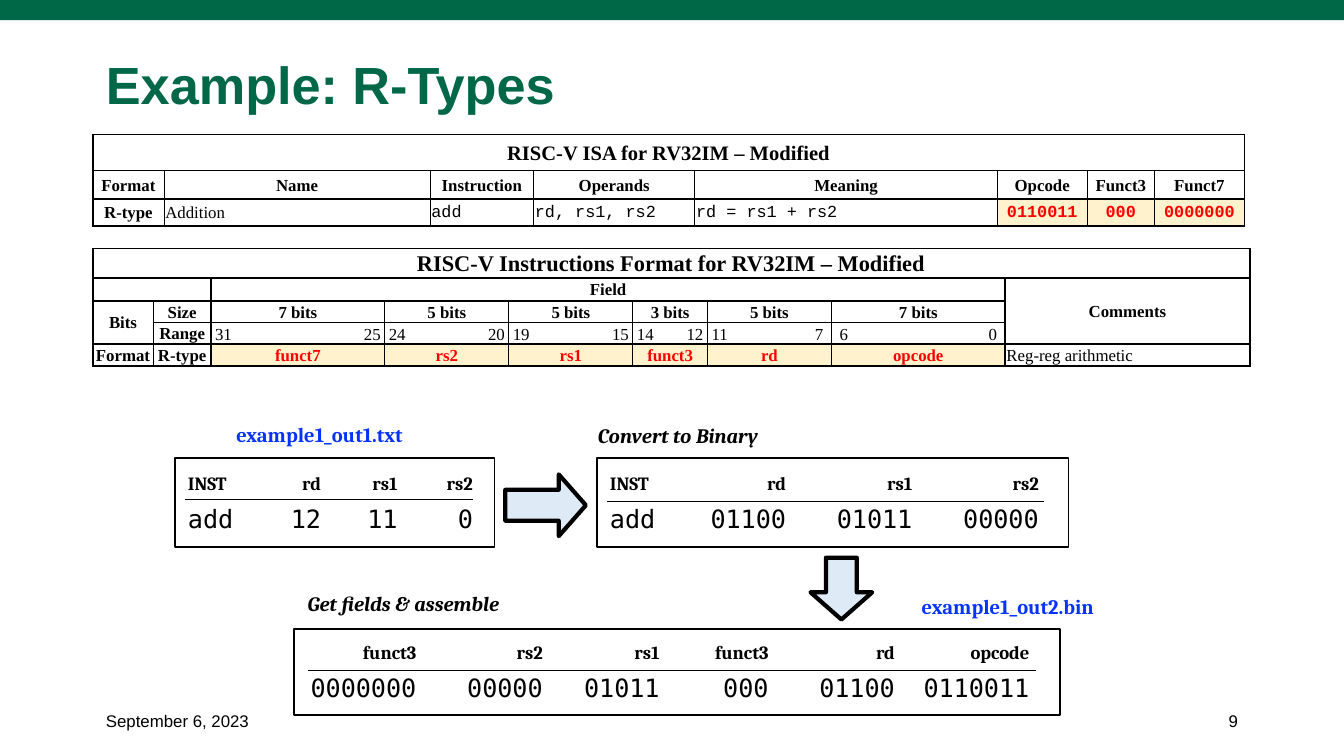
from lxml import etree
from pptx import Presentation
from pptx import util as u
from pptx.dml.color import RGBColor
from pptx.enum import shapes, text
from pptx.oxml import ns

GREEN = RGBColor(0x00, 0x67, 0x47)
BLACK = RGBColor(0x00, 0x00, 0x00)
WHITE = RGBColor(0xFF, 0xFF, 0xFF)
RED = RGBColor(0xFF, 0x00, 0x00)
BLUE = RGBColor(0x04, 0x32, 0xFF)
CREAM = RGBColor(0xFF, 0xF2, 0xCC)
PALE_BLUE = RGBColor(0xDE, 0xEB, 0xF7)
SERIF, MONO = "Times New Roman", "Courier New"
LEFT, CENTER, RIGHT = text.PP_ALIGN.LEFT, text.PP_ALIGN.CENTER, text.PP_ALIGN.RIGHT
TOP, MIDDLE, BOTTOM = text.MSO_ANCHOR.TOP, text.MSO_ANCHOR.MIDDLE, text.MSO_ANCHOR.BOTTOM


def inches(values):
    return [u.Inches(v) for v in values]


class SlideBuilder:
    def __init__(self, slide):
        self.s = slide

    def font(self, p, name, size, color=BLACK, bold=False, italic=False):
        f = p.font
        f.name, f.size, f.bold, f.italic = name, u.Pt(size), bold, italic
        f.color.rgb = color

    def label(self, box, words, name="Cambria", size=11, color=BLACK, bold=True,
              italic=False, align=LEFT, anchor=TOP, spacing=None):
        tf = self.s.shapes.add_textbox(*inches(box)).text_frame
        tf.word_wrap = True
        tf.vertical_anchor = anchor
        p = tf.paragraphs[0]
        p.text, p.alignment, p.line_spacing = words, align, spacing
        self.font(p, name, size, color, bold, italic)

    def shape(self, kind, box, fill, line=None):
        sp = self.s.shapes.add_shape(kind, *inches(box))
        sp.shadow.inherit = False
        sp.fill.solid()
        sp.fill.fore_color.rgb = fill
        if line:
            sp.line.color.rgb = BLACK
            sp.line.width = u.Pt(line)
        else:
            sp.line.fill.background()
        return sp

    def arrow(self, box, rotation=0):
        sp = self.shape(shapes.MSO_SHAPE.RIGHT_ARROW, box, PALE_BLUE, 2.25)
        sp.adjustments[1] = 0.44
        sp.rotation = rotation

    def rule(self, left, right, y):
        ln = self.s.shapes.add_connector(shapes.MSO_CONNECTOR.STRAIGHT,
                                         *inches((left, y, right, y)))
        ln.line.color.rgb = BLACK
        ln.line.width = u.Pt(0.5)
        etree.SubElement(ln._element.spPr, ns.qn("a:effectLst"))

    def listing(self, box, tabs, header, values, rule):
        tf = self.shape(shapes.MSO_SHAPE.RECTANGLE, box, WHITE, 1).text_frame
        tf.word_wrap = True
        tf.vertical_anchor = MIDDLE
        rows = ((header, "Cambria", 10, True, 5), (values, "DejaVu Sans Mono", 13.5, False, 0))
        for i, (words, name, size, bold, after) in enumerate(rows):
            p = tf.add_paragraph() if i else tf.paragraphs[0]
            p.text, p.alignment, p.space_after = words, LEFT, u.Pt(after)
            stops = etree.SubElement(p._p.get_or_add_pPr(), ns.qn("a:tabLst"))
            for tab in tabs:
                etree.SubElement(stops, ns.qn("a:tab"), pos=str(u.Inches(tab)), algn="r")
            self.font(p, name, size, BLACK, bold)
        self.rule(*rule)

    def table(self, left, top, widths, heights, col_edges, row_edges):
        frame = self.s.shapes.add_table(len(heights), len(widths), *inches(
            (left, top, sum(widths), sum(heights))))
        self.t = frame.table
        self.t.first_row = self.t.horz_banding = False
        for col, width in zip(self.t.columns, widths):
            col.width = u.Inches(width)
        for row, height in zip(self.t.rows, heights):
            row.height = u.Inches(height)
        self.col_edges, self.row_edges = col_edges, row_edges

    def cell(self, row, col, words, rows=1, cols=1, name=SERIF, size=9, color=BLACK,
             bold=True, fill=WHITE, align=CENTER, anchor=MIDDLE):
        end_row, end_col = row + rows, col + cols
        for r in range(row, end_row):
            for c in range(col, end_col):
                self.font(self.t.cell(r, c).text_frame.paragraphs[0], name, size, color, bold)
        cell = self.t.cell(row, col)
        if rows * cols > 1:
            cell.merge(self.t.cell(end_row - 1, end_col - 1))
        cell.margin_left = cell.margin_top = cell.margin_right = u.Inches(0.01)
        cell.margin_bottom = 0
        cell.vertical_anchor = anchor
        p = cell.text_frame.paragraphs[0]
        p.text, p.alignment = words, align
        cell.fill.solid()
        cell.fill.fore_color.rgb = fill
        self.borders(cell, L=self.col_edges[col], R=self.col_edges[end_col],
                     T=self.row_edges[row], B=self.row_edges[end_row])

    def borders(self, cell, **widths):
        tc_pr = cell._tc.get_or_add_tcPr()
        for i, (side, width) in enumerate(widths.items()):
            ln = etree.Element(ns.qn("a:ln" + side), w=str(u.Pt(width)))
            if width:
                fill = etree.SubElement(ln, ns.qn("a:solidFill"))
                etree.SubElement(fill, ns.qn("a:srgbClr"), val=str(BLACK))
            else:
                etree.SubElement(ln, ns.qn("a:noFill"))
            tc_pr.insert(i, ln)


def isa_table(b):
    b.table(0.69, 1, [0.53, 1.98, 0.77, 1.2, 2.25, 0.67, 0.5, 0.67], [0.27, 0.21, 0.2],
            [1] + [0.5] * 7 + [1], [1] * 4)
    b.cell(0, 0, "RISC-V ISA for RV32IM – Modified", cols=8, size=11)
    plain = dict(bold=False, align=LEFT)
    code = dict(plain, name=MONO)
    bits = dict(name=MONO, color=RED, fill=CREAM)
    columns = [("Format", "R-type", {}), ("Name", "Addition", plain),
               ("Instruction", "add", code), ("Operands", "rd, rs1, rs2", code),
               ("Meaning", "rd = rs1 + rs2", code), ("Opcode", "0110011", bits),
               ("Funct3", "000", bits), ("Funct7", "0000000", bits)]
    for col, (header, value, style) in enumerate(columns):
        b.cell(1, col, header)
        b.cell(2, col, value, **style)


def format_table(b):
    fields = [("funct7", 7), ("rs2", 5), ("rs1", 5), ("funct3", 3), ("rd", 5), ("opcode", 7)]
    col_edges = [1, 0.5] + [0] * 32 + [1, 1]
    col = 2
    for _, size in fields:
        col_edges[col] = 0.5
        col += size
    col_edges[2] = 1
    b.table(0.69, 1.85, [0.45, 0.43] + [5.91 / 32] * 32 + [1.82],
            [0.22, 0.17, 0.16, 0.16, 0.16], col_edges, [1, 1, 1, 0.5, 1, 1])
    b.cell(0, 0, "RISC-V Instructions Format for RV32IM – Modified", cols=35, size=12)
    b.cell(1, 0, "", cols=2)
    b.cell(1, 2, "Field", cols=32)
    b.cell(1, 34, "Comments", rows=3)
    b.cell(2, 0, "Bits", rows=2)
    for row, words in enumerate(("Size", "Range", "R-type"), 2):
        b.cell(row, 1, words)
    b.cell(4, 0, "Format")
    b.cell(4, 34, "Reg-reg arithmetic", bold=False, align=LEFT)
    col = 2
    for name, size in fields:
        b.cell(2, col, f"{size} bits", cols=size)
        b.cell(4, col, name, cols=size, color=RED, fill=CREAM)
        for c in range(col, col + size):
            words = str(33 - c) if c in (col, col + size - 1) else ""
            b.cell(3, c, words, bold=False, anchor=BOTTOM)
        col += size


def main():
    prs = Presentation()
    prs.slide_width = u.Inches(10)
    prs.slide_height = prs.slide_width * 9 // 16
    b = SlideBuilder(prs.slides.add_slide(prs.slide_layouts[6]))
    b.shape(shapes.MSO_SHAPE.RECTANGLE, (0, 0, 10, 0.15), GREEN)
    b.label((0.69, 0.3, 8.93, 0.7), "Example: R-Types", "Arial", 28, GREEN,
            anchor=MIDDLE, spacing=0.9)
    for left, words, align in ((0.69, "September 6, 2023", LEFT), (7.81, "9", RIGHT)):
        b.label((left, 5.21, 1.5, 0.3), words, "Arial", 9, bold=False,
                align=align, anchor=MIDDLE)
    format_table(b)
    registers = "INST\trd\trs1\trs2"
    b.listing((1.3, 3.41, 2.38, 0.66), (0.99, 1.56, 2.12), registers,
              "add\t12\t11\t0", (1.38, 3.52, 3.72))
    b.listing((4.44, 3.41, 3.51, 0.66), (1.31, 2.25, 3.19), registers,
              "add\t01100\t01011\t00000", (4.52, 7.77, 3.73))
    b.listing((2.19, 4.68, 5.7, 0.64), (0.81, 1.75, 2.62, 3.43, 4.37, 5.37),
              "\tfunct3\trs2\trs1\tfunct3\trd\topcode",
              "\t0000000\t00000\t01011\t000\t01100\t0110011", (2.29, 7.71, 4.99))
    b.arrow((3.76, 3.53, 0.6, 0.46))
    b.arrow((6.03, 4.15, 0.46, 0.46), 90)
    isa_table(b)
    b.label((1.66, 3.09, 1.8, 0.29), "example1_out1.txt", color=BLUE)
    b.label((6.76, 4.37, 1.8, 0.29), "example1_out2.bin", color=BLUE)
    b.label((4.35, 3.1, 1.8, 0.29), "Convert to Binary", italic=True)
    b.label((2.19, 4.35, 2.02, 0.29), "Get fields & assemble", italic=True)
    prs.save("out.pptx")


if __name__ == "__main__":
    main()
